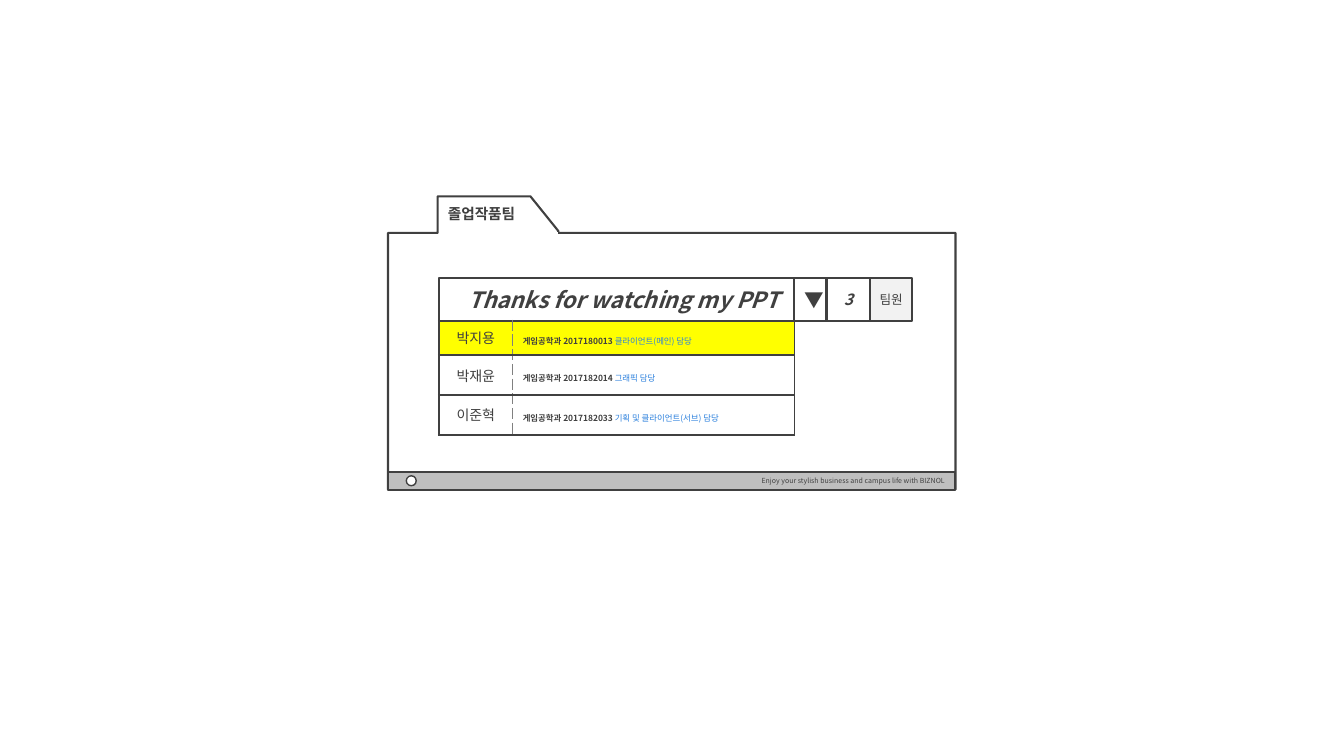
from lxml.etree import SubElement as Sub
from pptx import Presentation
from pptx.dml.color import RGBColor as Rgb
from pptx.enum.shapes import MSO_CONNECTOR as Link, MSO_SHAPE as Kind
from pptx.enum.text import MSO_ANCHOR as Anchor, PP_ALIGN as Align
from pptx.oxml.ns import qn
from pptx.util import Cm, Pt

FONT = "Noto Sans CJK KR"
HUE = {"ink": "404040", "white": "FFFFFF", "bar": "BFBFBF", "pale": "F2F2F2",
       "mark": "FFFF00", "blue": "2B80DD", "dash": "808080"}

TAB = "졸업작품팀"
FOOT = "Enjoy your stylish business and campus life with BIZNOL"
# text, width, fill, format
HEAD = [
    ("Thanks for watching my PPT", 8.96, "white",
     dict(size=16, bold=True, italic=True, align=Align.LEFT, left=0.74)),
    ("▼", 0.81, "white", dict(size=14)),
    ("3", 1.1, "white", dict(size=11, bold=True, italic=True)),
    ("팀원", 1.06, "pale", dict(size=9, wrap=False)),
]
# name, department and number, role, row height, fill
TEAM = [
    ("박지용", "게임공학과 2017180013 ", "클라이언트(메인) 담당", 0.87, "mark"),
    ("박재윤", "게임공학과 2017182014 ", "그래픽 담당", 1.0, "white"),
    ("이준혁", "게임공학과 2017182033 ", "기획 및 클라이언트(서브) 담당", 1.01, "white"),
]
COLS = [1.86, 7.1]

LEFT, RIGHT, TOP, BODY, BASE = 9.78, 24.08, 4.95, 5.87, 12.34
BAR, DOT = 0.45, 0.25
GRID_X, GRID_Y, HEAD_H = 11.06, 7.01, 1.07
OUTLINE = [(11.03, TOP), (13.37, TOP), (14.07, 5.82), (14.07, BODY),
           (RIGHT, BODY), (RIGHT, BASE), (LEFT, BASE), (LEFT, BODY),
           (11.03, BODY)]


def write(frame, text, size=10, bold=False, italic=False, hue="ink",
          align=Align.CENTER, anchor=Anchor.MIDDLE, wrap=True,
          left=None, top=None, bottom=None, space=None):
    """Append a run to the first paragraph and format both."""
    frame.word_wrap = wrap
    frame.vertical_anchor = anchor
    for side, gap in (("left", left), ("top", top), ("bottom", bottom)):
        if gap is not None:
            setattr(frame, "margin_" + side, Cm(gap))
    para = frame.paragraphs[0]
    para.alignment = align
    if space:
        para.line_spacing = space
    run = para.add_run()
    run.text = text
    font = run.font
    font.name, font.size, font.bold, font.italic = FONT, Pt(size), bold, italic
    font.color.rgb = Rgb.from_string(HUE[hue])
    Sub(run._r.get_or_add_rPr(), qn("a:ea"), typeface=FONT)


def paint(shape, fill, width=1.5):
    shape.shadow.inherit = False
    shape.fill.solid()
    shape.fill.fore_color.rgb = Rgb.from_string(HUE[fill])
    shape.line.color.rgb = Rgb.from_string(HUE["ink"])
    shape.line.width = Pt(width)
    return shape


def draw(slide, kind, x, y, w, h, fill, width=1.5):
    box = slide.shapes.add_shape(kind, Cm(x), Cm(y), Cm(w), Cm(h))
    return paint(box, fill, width)


def edge(cell, side, hue="ink", width=1.5, dash="solid"):
    line = Sub(cell._tc.get_or_add_tcPr(), qn("a:ln" + side),
               w=str(Pt(width)))
    fill = Sub(line, qn("a:solidFill"))
    Sub(fill, qn("a:srgbClr"), val=HUE[hue])
    Sub(line, qn("a:prstDash"), val=dash)


def add_folder(slide):
    pts = [(Cm(x), Cm(y)) for x, y in OUTLINE]
    form = slide.shapes.build_freeform(*pts[0])
    form.add_line_segments(pts[1:], close=True)
    folder = paint(form.convert_to_shape(), "white")
    write(folder.text_frame, TAB, size=10.5, bold=True, align=Align.LEFT,
          anchor=Anchor.TOP, left=1.51, top=0.2, bottom=0)

    seam = slide.shapes.add_connector(Link.STRAIGHT, Cm(GRID_X), Cm(5.89),
                                      Cm(14.05), Cm(5.89))
    seam.line.color.rgb = Rgb.from_string(HUE["white"])
    seam.line.width = Pt(2)
    Sub(seam._element.spPr, qn("a:effectLst"))

    y = BASE - BAR
    bar = draw(slide, Kind.RECTANGLE, LEFT, y, RIGHT - LEFT, BAR, "bar")
    write(bar.text_frame, FOOT, size=5, align=Align.RIGHT)
    draw(slide, Kind.OVAL, 10.24, y + (BAR - DOT) / 2, DOT, DOT, "white", 1)


def add_head(slide):
    x = GRID_X
    for text, width, fill, form in HEAD:
        box = draw(slide, Kind.RECTANGLE, x, GRID_Y, width, HEAD_H, fill)
        write(box.text_frame, text, **form)
        x += width


def add_team(slide):
    high = sum(row[3] for row in TEAM)
    table = slide.shapes.add_table(
        len(TEAM), len(COLS), Cm(GRID_X), Cm(GRID_Y + HEAD_H),
        Cm(sum(COLS)), Cm(high)).table
    table.first_row = table.horz_banding = False
    for col, width in zip(table.columns, COLS):
        col.width = Cm(width)
    for i, (name, unit, role, height, fill) in enumerate(TEAM):
        table.rows[i].height = Cm(height)
        who, job = table.cell(i, 0), table.cell(i, 1)
        for cell, inner in ((who, "R"), (job, "L")):
            for side in "LRTB":
                if side == inner:
                    edge(cell, side, "dash", 1, "dash")
                else:
                    edge(cell, side)
            cell.fill.solid()
            cell.fill.fore_color.rgb = Rgb.from_string(HUE[fill])
            cell.vertical_anchor = Anchor.MIDDLE
        write(who.text_frame, name, anchor=None, wrap=None)
        form = dict(size=6, align=Align.LEFT, anchor=None, wrap=None, space=1.5)
        write(job.text_frame, unit, bold=True, **form)
        write(job.text_frame, role, hue="blue", **form)


def main():
    deck = Presentation()
    deck.slide_width, deck.slide_height = Cm(33.87), Cm(19.05)
    slide = deck.slides.add_slide(deck.slide_layouts[6])
    add_folder(slide)
    add_head(slide)
    add_team(slide)
    deck.save("out.pptx")


if __name__ == "__main__":
    main()
